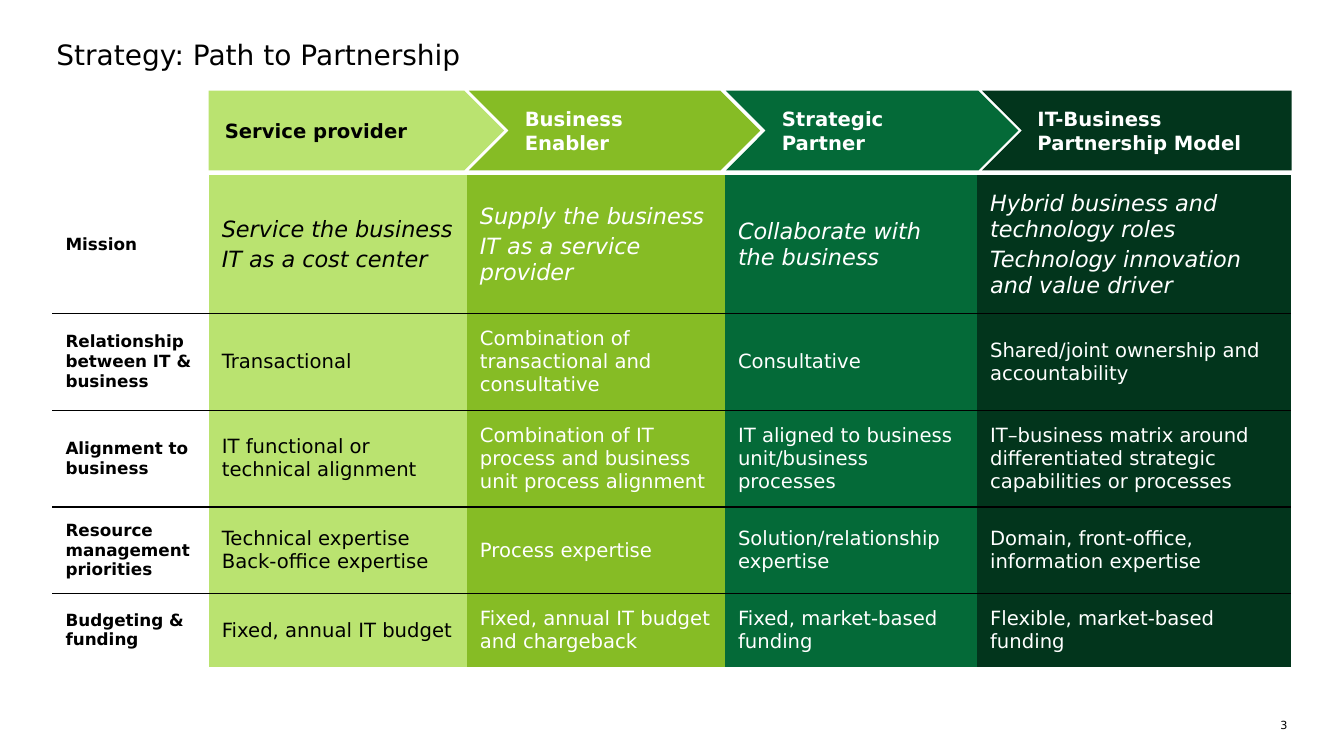
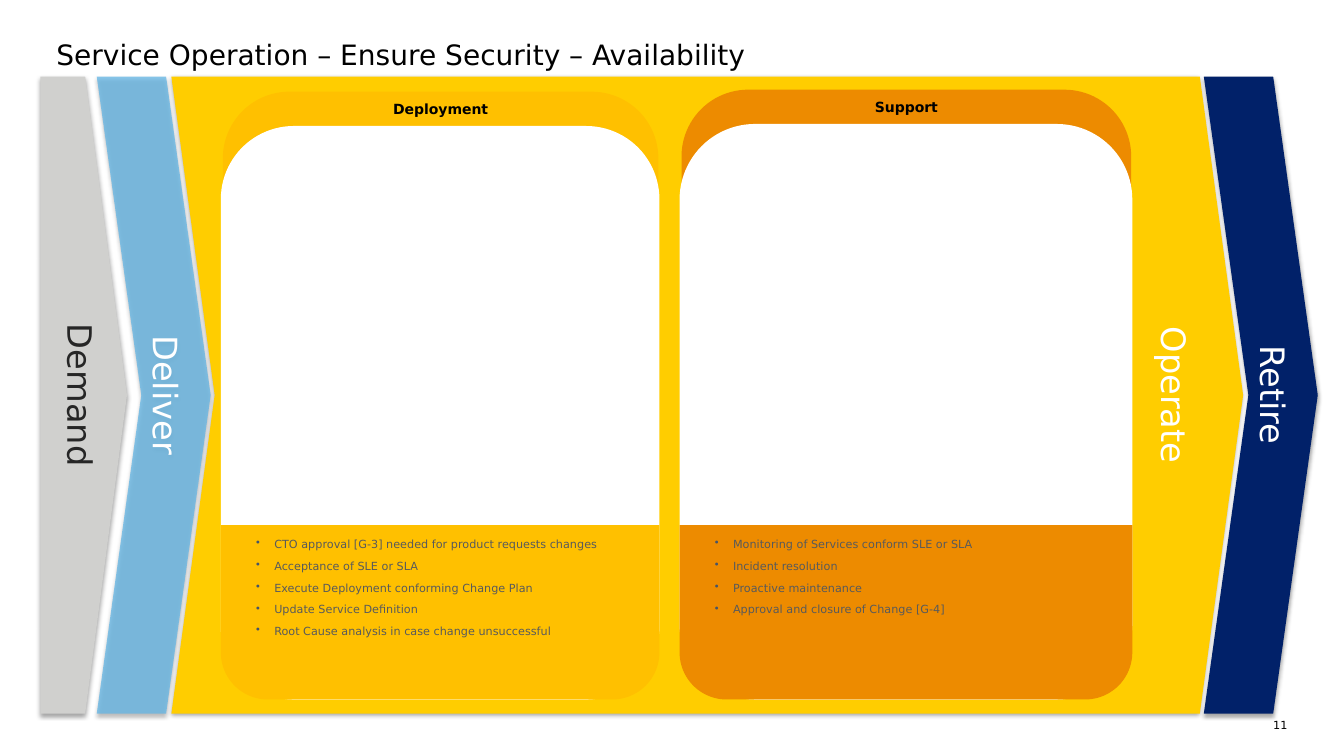
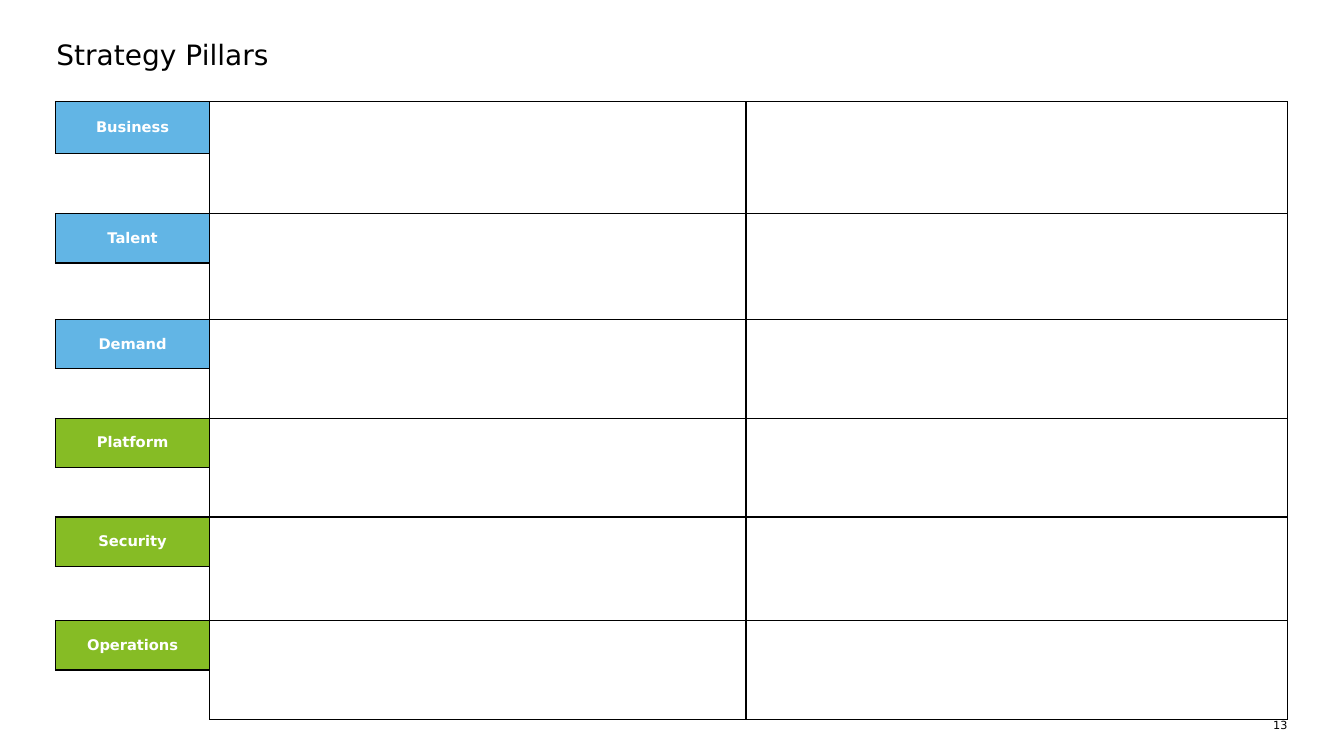
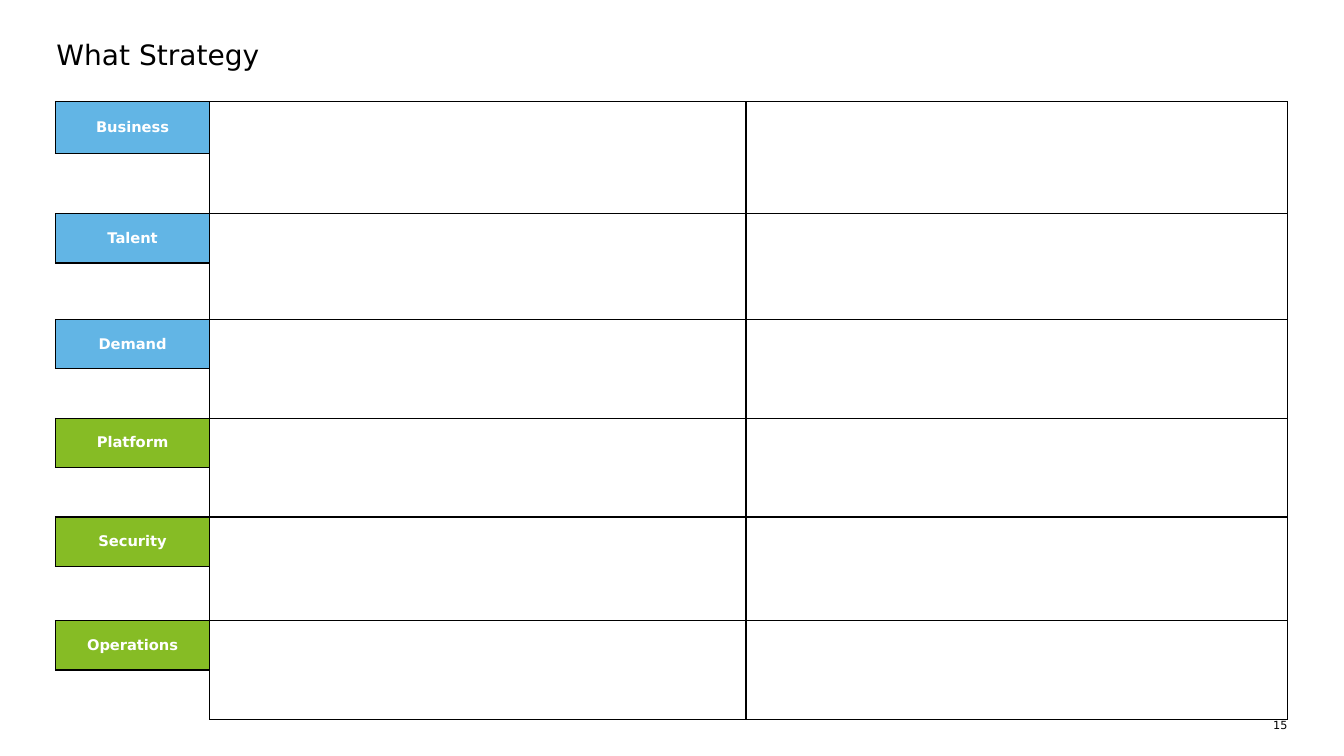
from lxml import etree
from pptx import Presentation
from pptx.dml.color import RGBColor
from pptx.enum.shapes import MSO_SHAPE
from pptx.enum.text import MSO_ANCHOR, PP_ALIGN
from pptx.oxml.ns import qn
from pptx.util import Inches, Pt

FONT = "DejaVu Sans"
COLORS = {
    "black": "000000", "white": "FFFFFF", "ink": "262626", "body": "585A5C",
    "bullet": "44546A", "lime": "BAE370", "green": "86BC25", "forest": "046A38",
    "pine": "02351C", "grey": "D0D0CE", "sky": "62B5E5", "yellow": "FFCD00",
    "navy": "012169", "amber": "FFC000", "orange": "ED8B00",
}
NO_GRID_STYLE = "{2D5ABB26-0587-4C30-8999-92F81FD0307C}"
STAGES = [("lime", "black"), ("green", "white"), ("forest", "white"), ("pine", "white")]
MATURITY_ROWS = [
    ("Mission", "Service the business\nIT as a cost center",
     "Supply the business\nIT as a service provider", "Collaborate with the business",
     "Hybrid business and technology roles\nTechnology innovation and value driver"),
    ("Relationship between IT & business", "Transactional",
     "Combination of transactional and consultative", "Consultative",
     "Shared/joint ownership and accountability"),
    ("Alignment to business", "IT functional or technical alignment",
     "Combination of IT process and business unit process alignment",
     "IT aligned to business unit/business processes",
     "IT–business matrix around differentiated strategic capabilities or processes"),
    ("Resource management priorities", "Technical expertise Back-office expertise",
     "Process expertise", "Solution/relationship expertise",
     "Domain, front-office, information expertise"),
    ("Budgeting & funding", "Fixed, annual IT budget",
     "Fixed, annual IT budget and chargeback", "Fixed, market-based funding",
     "Flexible, market-based funding"),
]
PILLARS = [("Business", "sky"), ("Talent", "sky"), ("Demand", "sky"),
           ("Platform", "green"), ("Security", "green"), ("Operations", "green")]
DEPLOYMENT = ["CTO approval [G-3] needed for product requests changes",
              "Acceptance of SLE or SLA", "Execute Deployment conforming Change Plan",
              "Update Service Definition", "Root Cause analysis in case change unsuccessful"]
SUPPORT = ["Monitoring of Services conform SLE or SLA", "Incident resolution",
           "Proactive maintenance", "Approval and closure of Change [G-4]"]


def rgb(color):
    """Return the named colour."""
    return RGBColor.from_string(COLORS[color])


def add_color(parent, color, alpha=None):
    """Append a colour element, with opacity in percent if given."""
    node = etree.SubElement(parent, qn("a:srgbClr"), val=COLORS[color])
    if alpha:
        etree.SubElement(node, qn("a:alpha"), val=str(alpha * 1000))


def write(frame, text, size, color="black", bold=False, italic=False,
          align=PP_ALIGN.LEFT, before=0):
    """Fill a text frame with one paragraph per line of text."""
    for index, line in enumerate(text.split("\n")):
        paragraph = frame.add_paragraph() if index else frame.paragraphs[0]
        paragraph.text = line
        paragraph.alignment = align
        paragraph.space_before = Pt(before)
        font = paragraph.font
        font.name, font.size, font.bold, font.italic = FONT, Pt(size), bold, italic
        font.color.rgb = rgb(color)


def set_insets(frame, left, top, right, bottom):
    """Set the four inner margins of a text frame or cell."""
    frame.margin_left, frame.margin_top = Inches(left), Inches(top)
    frame.margin_right, frame.margin_bottom = Inches(right), Inches(bottom)


def add_text(slide, box, text, size, anchor=MSO_ANCHOR.MIDDLE, **style):
    """Add a wrapping text box without margins."""
    frame = slide.shapes.add_textbox(*map(Inches, box)).text_frame
    frame.word_wrap = True
    frame.vertical_anchor = anchor
    set_insets(frame, 0, 0, 0, 0)
    write(frame, text, size, **style)
    return frame


def paint(shape, color):
    """Give a shape a plain fill without outline or shadow."""
    shape.shadow.inherit = False
    shape.fill.solid()
    shape.fill.fore_color.rgb = rgb(color)
    shape.line.fill.background()


def add_block(slide, kind, box, color, adjustments=()):
    """Add a plain preset shape."""
    shape = slide.shapes.add_shape(kind, *map(Inches, box))
    for index, value in enumerate(adjustments):
        shape.adjustments[index] = value
    paint(shape, color)
    return shape


def add_slide(deck, title, number):
    """Add a blank slide with its title and page number."""
    slide = deck.slides.add_slide(deck.slide_layouts[6])
    add_text(slide, (0.56, 0.37, 12.22, 0.34), title, 20)
    add_text(slide, (12.54, 7.13, 0.23, 0.13), str(number), 8, align=PP_ALIGN.RIGHT)
    return slide


def add_grid(slide, left, top, widths, heights):
    """Add an unstyled table with the given columns and rows."""
    box = map(Inches, (left, top, sum(widths), sum(heights)))
    table = slide.shapes.add_table(len(heights), len(widths), *box).table
    table.first_row = table.horz_banding = False
    table._tbl.tblPr.find(qn("a:tableStyleId")).text = NO_GRID_STYLE
    for column, width in zip(table.columns, widths):
        column.width = Inches(width)
    for row, height in zip(table.rows, heights):
        row.height = Inches(height)
    return table


def format_cell(cell, sides="", color=None):
    """Rule the named sides (from LRTB) of a cell, then fill it."""
    properties = cell._tc.get_or_add_tcPr()
    for side in sides:
        rule = etree.SubElement(properties, qn(f"a:ln{side}"), w=str(Pt(1)))
        add_color(etree.SubElement(rule, qn("a:solidFill")), "black")
    if color:
        cell.fill.solid()
        cell.fill.fore_color.rgb = rgb(color)
    else:
        cell.fill.background()
    cell.vertical_anchor = MSO_ANCHOR.MIDDLE


def add_stage_band(slide, left, top, height):
    """Draw the row of four interlocking stage headings."""
    last_left, last_width = left + 7.67, 3.07
    x, y, right, bottom = map(Inches, (last_left, top, last_left + last_width, top + height))
    notch = Inches(last_left + height / 2), Inches(top + height / 2)
    builder = slide.shapes.build_freeform(x, y)
    builder.add_line_segments([(right, y), (right, bottom), (x, bottom), notch])
    final = builder.convert_to_shape()
    paint(final, "pine")
    arrows = [(MSO_SHAPE.PENTAGON, 0, 2.93), (MSO_SHAPE.CHEVRON, 2.58, 2.89),
              (MSO_SHAPE.CHEVRON, 5.13, 2.9)]
    shapes = [add_block(slide, kind, (left + offset, top, width, height), fill)
              for (kind, offset, width), (fill, _) in zip(arrows, STAGES)] + [final]
    names = ["Service provider", "Business Enabler", "Strategic Partner",
             "IT-Business\nPartnership Model"]
    for shape, name, (_, ink) in zip(shapes, names, STAGES):
        frame = shape.text_frame
        frame.vertical_anchor = MSO_ANCHOR.MIDDLE
        set_insets(frame, 0.55 if shape is final else 0.16, 0.1, 0.1, 0.1)
        write(frame, name, 14, ink, bold=True)


def add_maturity_table(slide, left, top):
    """Draw the table that compares the four stages."""
    table = add_grid(slide, left, top, [1.55, 2.56, 2.56, 2.5, 3.11],
                     [1.33, 0.95, 0.95, 0.85, 0.72])
    columns = [(None, "black")] + STAGES
    last = len(MATURITY_ROWS) - 1
    for r, texts in enumerate(MATURITY_ROWS):
        sides = ("T" if r else "") + ("B" if r < last else "")
        for c, (text, (fill, ink)) in enumerate(zip(texts, columns)):
            cell = table.cell(r, c)
            format_cell(cell, sides, fill)
            set_insets(cell, 0.13, 0.13, 0.13, 0.13)
            size = 12 if c == 0 else 14 if r else 16
            write(cell.text_frame, text, size, ink, bold=c == 0,
                  italic=r == 0 and c > 0, before=3)


def add_phase(slide, kind, box, tip, color, name, ink, anchor, alpha=None):
    """Draw one tall phase arrow with a soft shadow and vertical name."""
    arrow = add_block(slide, kind, box, color, [tip])
    if alpha:
        fill = arrow._element.spPr.find(qn("a:solidFill"))
        fill.clear()
        add_color(fill, color, alpha)
    effects = arrow._element.spPr.find(qn("a:effectLst"))
    shadow = etree.SubElement(effects, qn("a:outerShdw"), blurRad=str(Pt(3.1)),
                              dist=str(Pt(1.8)), dir="5400000", algn="t", rotWithShape="0")
    add_color(shadow, "black", 35)
    frame = arrow.text_frame
    frame.vertical_anchor = anchor
    frame._txBody.bodyPr.set("vert", "vert")
    write(frame, name, 24, ink, align=PP_ALIGN.CENTER, before=6)


def add_phases(slide, top, height):
    """Draw the four phases of the service life cycle."""
    chevron, start, end = MSO_SHAPE.CHEVRON, MSO_ANCHOR.TOP, MSO_ANCHOR.BOTTOM
    for kind, left, width, tip, *look in [
        (MSO_SHAPE.PENTAGON, 0.4, 0.86, 0.482, "grey", "Demand", "ink", start),
        (chevron, 11.94, 1.13, 0.391, "navy", "Retire", "white", end),
        (chevron, 0.96, 1.13, 0.391, "sky", "Deliver", "white", end, 75),
        (chevron, 1.7, 10.63, 0.068, "yellow", "Operate", "white", start),
    ]:
        add_phase(slide, kind, (left, top, width, height), tip, *look)


def add_panel(slide, left, top, width, bottom, color, heading, points):
    """Draw a rounded panel with a heading and a footer of bullets."""
    head, foot = 0.34, 1.73
    foot_top = bottom - foot
    add_block(slide, MSO_SHAPE.ROUNDED_RECTANGLE,
              (left + 0.02, top, width - 0.03, 3.97), color)
    add_block(slide, MSO_SHAPE.ROUNDED_RECTANGLE,
              (left, top + head, width, bottom - top - head), "white")
    add_text(slide, (left + 0.02, top, width - 0.03, head), heading, 10,
             bold=True, align=PP_ALIGN.CENTER, before=6)
    add_block(slide, MSO_SHAPE.ROUND_2_SAME_RECTANGLE,
              (left, foot_top, width, foot), color, [0, 0.27])
    frame = add_text(slide, (left + 0.19, foot_top + 0.12, width - 0.47, 1.55),
                     "\n".join(points), 8, MSO_ANCHOR.TOP, color="body", before=6)
    for paragraph in frame.paragraphs:
        properties = paragraph._p.get_or_add_pPr()
        properties.set("marL", str(Inches(0.34)))
        properties.set("indent", str(Inches(-0.18)))
        add_color(etree.SubElement(properties, qn("a:buClr")), "bullet")
        etree.SubElement(properties, qn("a:buChar"), char="•")


def add_pillar_table(slide, left, top):
    """Draw the table of pillars with an open field beside each."""
    table = add_grid(slide, left, top, [1.53, 5.32, 5.37],
                     [0.51, 0.51, 0.6, 0.49, 0.56] + [0.49] * 5 + [0.54, 0.49, 0.49])
    for c in range(3):
        format_cell(table.cell(0, c), "B")
    for index, (name, color) in enumerate(PILLARS):
        r = 2 * index + 1
        label = table.cell(r, 0)
        format_cell(label, "LRTB", color)
        write(label.text_frame, name, 10.5, "white", bold=True, align=PP_ALIGN.CENTER)
        format_cell(table.cell(r + 1, 0), "RTB" if index < len(PILLARS) - 1 else "RT")
        for c, sides in ((1, "LTB"), (2, "RTB")):
            table.cell(r, c).merge(table.cell(r + 1, c))
            format_cell(table.cell(r, c), sides)
            format_cell(table.cell(r + 1, c), sides.replace("T", ""))


def main():
    """Build and save the four slides."""
    deck = Presentation()
    deck.slide_width, deck.slide_height = Inches(13.33), Inches(7.5)

    path_slide = add_slide(deck, "Strategy: Path to Partnership", 3)
    add_stage_band(path_slide, 2.07, 0.9, 0.79)
    add_maturity_table(path_slide, 0.52, 1.74)

    operation = add_slide(deck, "Service Operation – Ensure Security – Availability", 11)
    add_phases(operation, 0.76, 6.32)
    add_panel(operation, 2.19, 0.91, 4.35, 6.94, "amber", "Deployment", DEPLOYMENT)
    add_panel(operation, 6.74, 0.89, 4.49, 6.94, "orange", "Support", SUPPORT)

    for title, number in (("Strategy Pillars", 13), ("What Strategy", 15)):
        add_pillar_table(add_slide(deck, title, number), 0.55, 0.5)
    deck.save("out.pptx")


if __name__ == "__main__":
    main()
